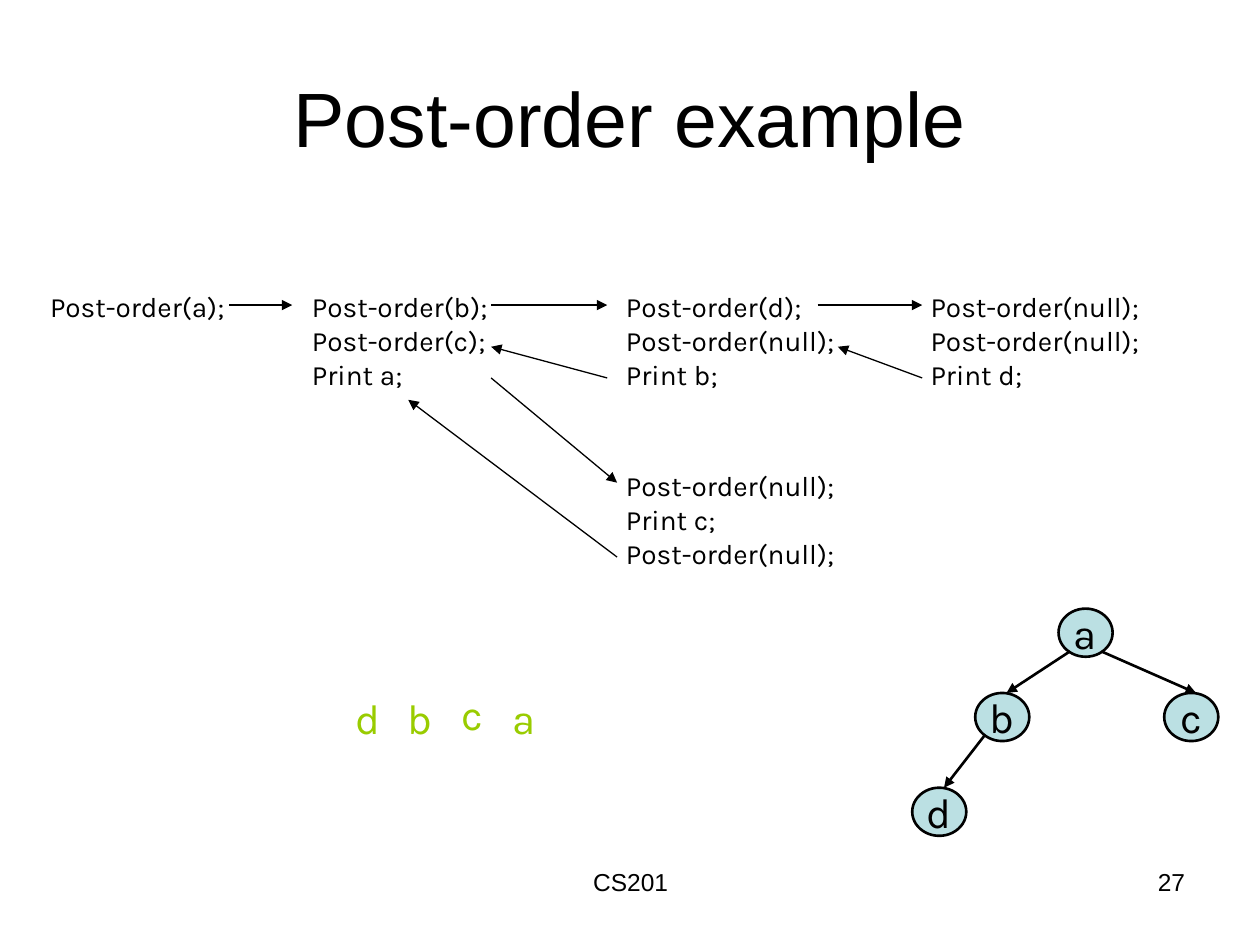
from lxml.etree import SubElement
from pptx import Presentation
from pptx.dml.color import RGBColor
from pptx.enum.shapes import MSO_CONNECTOR, MSO_SHAPE
from pptx.enum.text import MSO_ANCHOR, PP_ALIGN
from pptx.oxml.ns import qn
from pptx.util import Cm, Pt

BLACK = RGBColor(0x00, 0x00, 0x00)
GREEN = RGBColor(0x99, 0xCC, 0x00)
TEAL = RGBColor(0xBB, 0xE0, 0xE3)


def style(frame, lines, size, font, color=BLACK, align=PP_ALIGN.LEFT):
    """Write the lines into a text frame and format their runs."""
    frame.text = "\n".join(lines)
    for para in frame.paragraphs:
        para.alignment = align
        for run in para.runs:
            run.font.size = Pt(size)
            run.font.name = font
            run.font.color.rgb = color


def label(slide, box, lines, size, font, color=BLACK, align=PP_ALIGN.LEFT, wrap=True):
    """Add a text box and return its frame."""
    frame = slide.shapes.add_textbox(*map(Cm, box)).text_frame
    frame.word_wrap = wrap
    style(frame, lines, size, font, color, align)
    return frame


def arrow(slide, left, top, ends, width):
    """Draw an arrow between two points given relative to left and top."""
    x1, y1, x2, y2 = ends
    line = slide.shapes.add_connector(
        MSO_CONNECTOR.STRAIGHT, Cm(left + x1), Cm(top + y1), Cm(left + x2), Cm(top + y2))
    line.line.color.rgb = BLACK
    line.line.width = Pt(width)
    props = line.line._get_or_add_ln()
    SubElement(props, qn("a:tailEnd"), type="triangle")
    SubElement(props.getparent(), qn("a:effectLst"))


def title(slide, box):
    """Place the slide title."""
    frame = label(slide, box, ["Post-order example"], 44, "Arial", align=PP_ALIGN.CENTER)
    frame.vertical_anchor = MSO_ANCHOR.MIDDLE


def footer(slide, left, top):
    """Place the course name and the page number."""
    label(slide, (left, top, 8.05, 1.32), ["CS201"], 14, "Arial", align=PP_ALIGN.CENTER)
    label(slide, (left + 9.53, top, 5.92, 1.32), ["27"], 14, "Arial", align=PP_ALIGN.RIGHT)


def calls(slide, left, top):
    """Place the call listings and the arrows that trace the recursion."""
    null = "Post-order(null);"
    blocks = [
        (0, 0, 4.11, ["Post-order(a);"]),
        (5.28, 0, 4.14, ["Post-order(b);", "Post-order(c);", "Print a;"]),
        (11.61, 0, 4.78, ["Post-order(d);", null, "Print b;"]),
        (11.61, 3.61, 4.78, [null, "Print c;", null]),
        (17.75, 0, 4.78, [null, null, "Print d;"]),
    ]
    for x, y, width, lines in blocks:
        high = 0.25 + 0.68 * len(lines)
        label(slide, (left + x, top + y, width, high), lines, 16, "Karla", wrap=False)
    steps = [
        (3.86, 0.43, 5.13, 0.43),
        (9.14, 0.43, 11.48, 0.43),
        (15.72, 0.43, 17.83, 0.43),
        (17.83, 1.9, 16.13, 1.27),
        (11.48, 1.9, 9.14, 1.27),
        (9.14, 1.9, 11.68, 4.01),
        (11.68, 5.51, 7.47, 2.34),
    ]
    for ends in steps:
        arrow(slide, left, top, ends, 0.75)


def tree(slide, left, top):
    """Draw the binary tree."""
    nodes = {"a": (2.95, 0), "b": (1.27, 1.7), "c": (5.08, 1.7), "d": (0, 3.61)}
    for name, (x, y) in nodes.items():
        node = slide.shapes.add_shape(
            MSO_SHAPE.OVAL, Cm(left + x), Cm(top + y), Cm(1.09), Cm(0.97))
        node.shadow.inherit = False
        node.fill.solid()
        node.fill.fore_color.rgb = TEAL
        node.line.color.rgb = BLACK
        node.line.width = Pt(1.5)
        frame = node.text_frame
        frame.word_wrap = False
        frame.vertical_anchor = MSO_ANCHOR.MIDDLE
        style(frame, [name], 24, "Karla", align=PP_ALIGN.CENTER)
    edges = [(3.18, 0.86, 1.9, 1.7), (3.81, 0.86, 5.72, 1.7), (1.47, 2.54, 0.64, 3.61)]
    for ends in edges:
        arrow(slide, left, top, ends, 1.5)


def output(slide, left, top):
    """Place the printed letters at equal steps."""
    for i, (name, drop) in enumerate([("d", 0), ("b", 0), ("c", -0.08), ("a", 0)]):
        box = (left + 1.05 * i, top + drop, 1.02, 1.27)
        label(slide, box, [name], 24, "Karla", GREEN, PP_ALIGN.CENTER)


def main():
    """Build the slide and save it."""
    deck = Presentation()
    deck.slide_width, deck.slide_height = Cm(25.4), Cm(19.05)
    slide = deck.slides.add_slide(deck.slide_layouts[6])
    title(slide, (1.27, 0.76, 22.86, 3.18))
    calls(slide, 0.76, 5.72)
    tree(slide, 18.39, 12.27)
    output(slide, 6.91, 13.84)
    footer(slide, 8.69, 17.35)
    deck.save("out.pptx")


if __name__ == "__main__":
    main()
